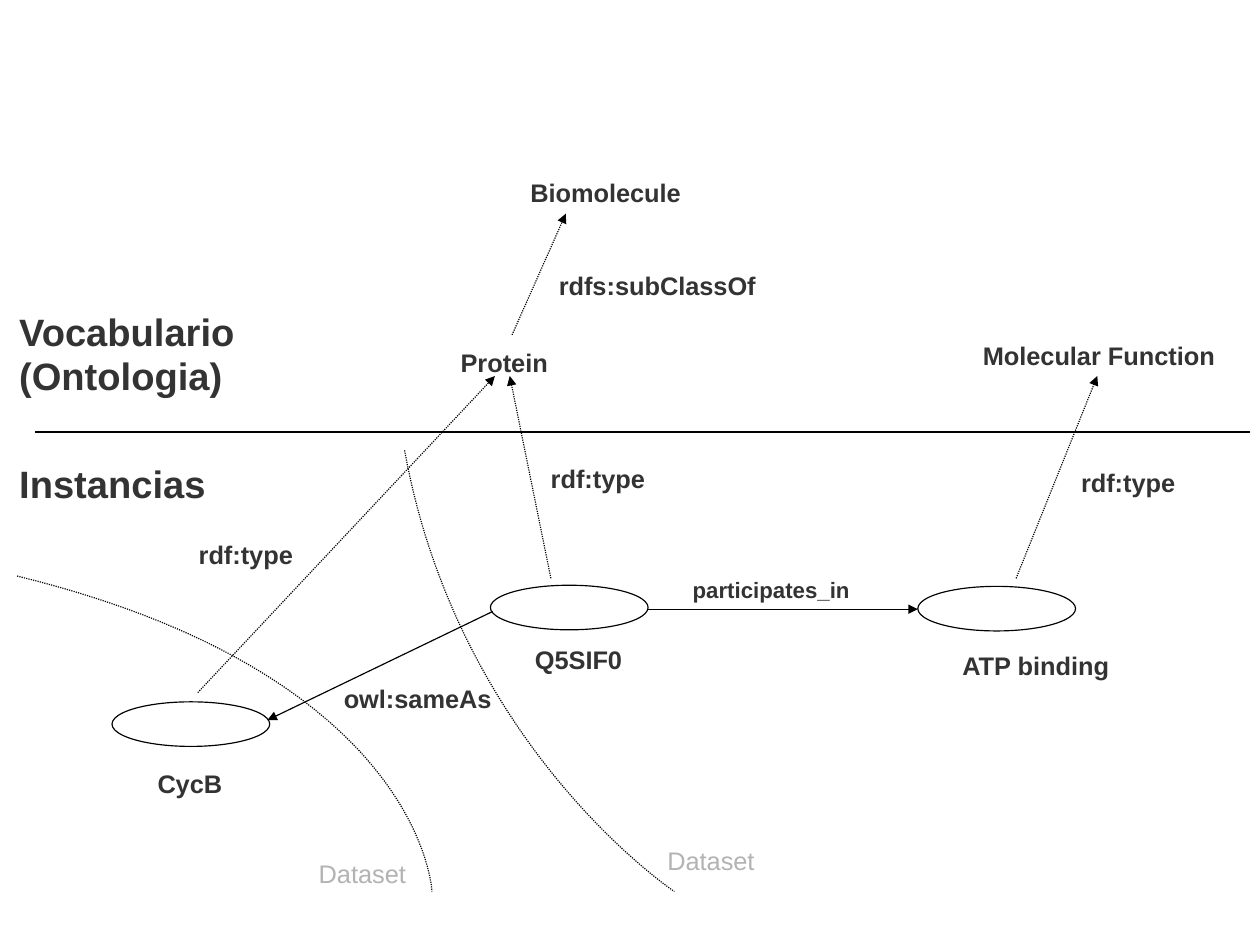
from pptx import Presentation
from pptx.dml.color import RGBColor
from pptx.enum.dml import MSO_LINE
from pptx.enum.shapes import MSO_CONNECTOR, MSO_SHAPE
from pptx.enum.text import MSO_ANCHOR
from pptx.oxml.ns import qn
from pptx.util import Cm, Inches, Pt
from lxml.etree import SubElement

WIDE, HIGH = Cm(28), Cm(21)
SPLIT = 3.78
INK, TEXT, PALE = "000000", "333333", "B3B3B3"


def paint(code):
    return RGBColor.from_string(code)


def stroke(line, dotted=False):
    line.color.rgb = paint(INK)
    line.width = Pt(0.75)
    if dotted:
        line.dash_style = MSO_LINE.ROUND_DOT


def label(slide, text, x, y, w, h=0.35, pad=True, **style):
    """Add left-aligned text; without pad it has no insets and sits mid-height."""
    look = {"name": "Arial", "size": 16, "bold": True, "color": TEXT} | style
    frame = slide.shapes.add_textbox(*map(Inches, (x, y, w, h))).text_frame
    frame.word_wrap = True
    if not pad:
        frame.vertical_anchor = MSO_ANCHOR.MIDDLE
        for side in ("left", "top", "right", "bottom"):
            setattr(frame, f"margin_{side}", 0)
    for i, words in enumerate(text.split("\n")):
        para = frame.paragraphs[0] if i == 0 else frame.add_paragraph()
        para.line_spacing = 0.95
        run = para.add_run()
        run.text = words
        run.font.name, run.font.size = look["name"], Pt(look["size"])
        run.font.bold = look["bold"]
        run.font.color.rgb = paint(look["color"])


def link(slide, start, end, dotted=False, arrow=True):
    wire = slide.shapes.add_connector(
        MSO_CONNECTOR.STRAIGHT, *map(Inches, (*start, *end)))
    stroke(wire.line, dotted)
    if arrow:
        SubElement(wire.line._get_or_add_ln(), qn("a:tailEnd"), type="triangle")
    SubElement(wire._element.spPr, qn("a:effectLst"))


def node(slide, x, y):
    oval = slide.shapes.add_shape(
        MSO_SHAPE.OVAL, *map(Inches, (x, y, 1.38, 0.39)))
    oval.shadow.inherit = False
    oval.fill.background()
    stroke(oval.line)


def curve(slide, start, bend, end, steps=60):
    """Draw a dotted cubic curve whose second control point is its end."""
    def spot(t):
        u = 1 - t
        a, b, c = u ** 3, 3 * u * u * t, 3 * u * t * t + t ** 3
        return [Inches(a * p + b * q + c * r)
                for p, q, r in zip(start, bend, end)]

    pen = slide.shapes.build_freeform(*spot(0))
    pen.add_line_segments([spot(i / steps) for i in range(1, steps + 1)],
                          close=False)
    arc = pen.convert_to_shape()
    arc.shadow.inherit = False
    arc.fill.background()
    stroke(arc.line, dotted=True)


def vocab(slide, x, y, w, h):
    """Classes above the dividing line, which closes the box."""
    label(slide, "Vocabulario\n(Ontologia)", x + 0.07, y + 2.68, 4.57, 0.86, size=24)
    label(slide, "Biomolecule", x + 4.64, y + 1.5, 1.5, 0.39, pad=False)
    label(slide, "Protein", x + 4.03, y + 2.99, 0.85, 0.39, pad=False)
    label(slide, "rdfs:subClassOf", x + 4.79, y + 2.33, 2.52)
    label(slide, "Molecular Function", x + 8.5, y + 2.95, 2.52)
    link(slide, (x + 4.48, y + 2.93), (x + 4.95, y + 1.87), dotted=True)
    link(slide, (x + 0.31, y + h), (x + w, y + h), arrow=False)


def facts(slide, x, y):
    """Instances, their relations and the borders of both datasets."""
    label(slide, "Instancias", x + 0.07, y + 0.23, 4.57, 0.48, size=24)
    for left, top in ((0.98, 2.36), (4.29, 1.34), (8.03, 1.35)):
        node(slide, x + left, y + top)
    label(slide, "CycB", x + 1.28, y + 2.91, 0.8)
    label(slide, "Q5SIF0", x + 4.68, y + 1.81, 0.85, 0.39, pad=False)
    label(slide, "ATP binding", x + 8.42, y + 1.89, 1.57, 0.32, pad=False)

    link(slide, (x + 5.66, y + 1.55), (x + 8.03, y + 1.55))
    label(slide, "participates_in", x + 6.06, y + 1.23, 1.57, 0.32, pad=False, size=14)
    link(slide, (x + 4.31, y + 1.57), (x + 2.34, y + 2.52))
    label(slide, "owl:sameAs", x + 2.91, y + 2.17, 1.5)

    borders = (((0.15, 1.26), (3.7, 2.13), (3.78, 4.02)),
               ((3.54, 0.16), (4.01, 2.76), (5.9, 4.02)))
    for border in borders:
        curve(slide, *[(x + px, y + py) for px, py in border])
    for left, top in ((2.69, 3.7), (5.74, 3.58)):
        label(slide, "Dataset", x + left, y + top, 1.63, bold=False, color=PALE)


def types(slide, x, y):
    """Dotted links from each instance up to its class, across the line at y."""
    links = (((1.73, 2.28), (4.33, -0.49), (1.64, 0.91)),
             ((4.82, 1.28), (4.46, -0.49), (4.72, 0.24)),
             ((8.89, 1.28), (9.6, -0.49), (9.36, 0.28)))
    for row in links:
        start, end, mark = [(x + px, y + py) for px, py in row]
        link(slide, start, end, dotted=True)
        label(slide, "rdf:type", *mark, 1.5)


def main():
    deck = Presentation()
    deck.slide_width, deck.slide_height = WIDE, HIGH
    slide = deck.slides.add_slide(deck.slide_layouts[6])
    vocab(slide, 0, 0, 10.94, SPLIT)
    facts(slide, 0, SPLIT)
    types(slide, 0, SPLIT)
    deck.save("out.pptx")


if __name__ == "__main__":
    main()
